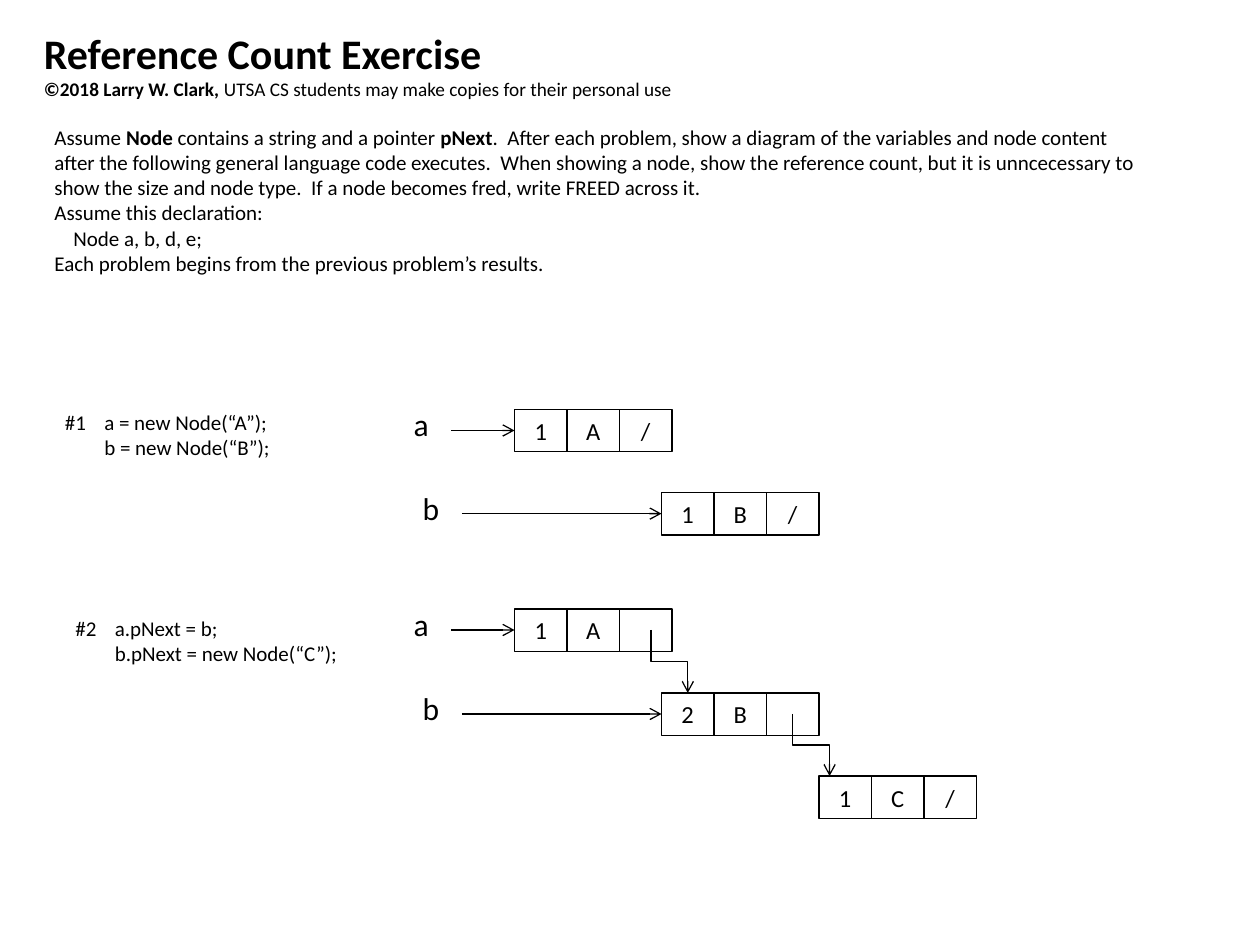
import pptx
import pptx.util
import pptx.dml.color
import pptx.enum.shapes
import pptx.enum.text
import pptx.oxml.ns
import lxml.etree
from dataclasses import dataclass

Pt = pptx.util.Pt
ALIGN = pptx.enum.text.PP_ALIGN
ANCHOR = pptx.enum.text.MSO_ANCHOR
CONNECTOR = pptx.enum.shapes.MSO_CONNECTOR


@dataclass(frozen=True)
class Theme:
    font: str = "Calibri"
    ink: pptx.dml.color.RGBColor = pptx.dml.color.RGBColor(0, 0, 0)
    title: float = 24
    credit: float = 11
    body: float = 12
    cell: float = 14
    label: float = 18
    line: float = 0.75


THEME = Theme()
CELL_W, CELL_H = 30, 24.2
CODE_INDENT = 22.5


def add_run(p, text, size, bold=False):
    r = p.add_run()
    r.text = text
    r.font.name = THEME.font
    r.font.size = Pt(size)
    r.font.bold = bold
    r.font.color.rgb = THEME.ink


def set_indent(p, left, first=0):
    p_pr = p._p.get_or_add_pPr()
    p_pr.set("marL", str(Pt(left)))
    p_pr.set("indent", str(Pt(first)))


def add_text(s, x, y, w, h, paragraphs, align=ALIGN.LEFT, anchor=ANCHOR.TOP):
    """Each paragraph is a list of (text, size, bold) runs."""
    tf = s.shapes.add_textbox(Pt(x), Pt(y), Pt(w), Pt(h)).text_frame
    tf.word_wrap = True
    tf.auto_size = pptx.enum.text.MSO_AUTO_SIZE.SHAPE_TO_FIT_TEXT
    tf.vertical_anchor = anchor
    for i, runs in enumerate(paragraphs):
        p = tf.add_paragraph() if i else tf.paragraphs[0]
        p.alignment = align
        for run in runs:
            add_run(p, *run)
    return tf


def add_code(s, x, y, lines):
    tf = add_text(s, x, y, 198, 36, [[(line, THEME.body)] for line in lines])
    for p in tf.paragraphs:
        set_indent(p, CODE_INDENT, -CODE_INDENT)


def add_node(s, x, y, values):
    """Row of cells: reference count, content, pointer (empty when it links on)."""
    for i, value in enumerate(values):
        sp = s.shapes.add_shape(pptx.enum.shapes.MSO_SHAPE.RECTANGLE,
                                Pt(x + i * CELL_W), Pt(y), Pt(CELL_W), Pt(CELL_H))
        sp.shadow.inherit = False
        sp.fill.background()
        sp.line.color.rgb = THEME.ink
        sp.line.width = Pt(THEME.line)
        if value:
            sp.text_frame.vertical_anchor = ANCHOR.MIDDLE
            p = sp.text_frame.paragraphs[0]
            p.alignment = ALIGN.CENTER
            add_run(p, value, THEME.cell)


def add_arrow(s, x1, y1, x2, y2, kind=CONNECTOR.STRAIGHT):
    c = s.shapes.add_connector(kind, Pt(x1), Pt(y1), Pt(x2), Pt(y2))
    c.line.color.rgb = THEME.ink
    c.line.width = Pt(THEME.line)
    qn = pptx.oxml.ns.qn
    lxml.etree.SubElement(c.line._get_or_add_ln(), qn("a:tailEnd"), type="arrow")
    lxml.etree.SubElement(c._element.spPr, qn("a:effectLst"))
    return c


def add_link(s, x1, y1, x2, y2):
    """Down-right-down elbow: a flipped elbow turned by 270 degrees."""
    cx, cy = (x1 + x2) / 2, (y1 + y2) / 2
    dx, dy = (y2 - y1) / 2, (x2 - x1) / 2
    c = add_arrow(s, cx + dx, cy - dy, cx - dx, cy + dy, CONNECTOR.ELBOW)
    c._element.spPr.find(pptx.oxml.ns.qn("a:xfrm")).set("rot", str(270 * 60000))


def add_variable(s, name, x, node_x, y, values):
    """Variable name with an arrow to its node."""
    add_text(s, x, y - 6, 36, 29, [[(name, THEME.label)]], ALIGN.RIGHT, ANCHOR.MIDDLE)
    add_node(s, node_x, y, values)
    add_arrow(s, x + 42, y + 12, node_x, y + 12)


def main():
    prs = pptx.Presentation()
    prs.slide_width, prs.slide_height = Pt(720), Pt(540)
    s = prs.slides.add_slide(prs.slide_layouts[6])

    # Title and instructions
    add_text(s, 18, 12, 678, 71, [
        [("Reference Count Exercise", THEME.title, True)],
        [("©2018 Larry W. Clark, ", THEME.credit, True),
         ("UTSA CS students may make copies for their personal use", THEME.credit)],
    ])
    body = THEME.body
    tf = add_text(s, 24, 67.5, 636, 94.5, [
        [("Assume ", body), ("Node", body, True),
         (" contains a string and a pointer ", body), ("pNext", body, True),
         (".  After each problem, show a diagram of the variables and node content "
          "after the following general language code executes.  When showing a node, "
          "show the reference count, but it is unncecessary to show the size and node "
          "type.  If a node becomes fred, write FREED across it.", body)],
        [("Assume this declaration: ", body)],
        [("Node a, b, d, e;", body)],
        [("Each problem begins from the previous problem’s results.", body)],
    ])
    set_indent(tf.paragraphs[2], 10.8)

    # Problem code
    add_code(s, 30, 230.5, ["#1\ta = new Node(“A”);", "\tb = new Node(“B”);"])
    add_code(s, 36, 348, ["#2\ta.pNext = b;", "\tb.pNext = new Node(“C”);"])

    # Variables and nodes
    a_x, b_x, c_x = 294, 378, 468
    for a_y, b_y, a_node, b_node in (
        (234, 281.5, "1A/", "1B/"),
        (348, 396, ("1", "A", ""), ("2", "B", "")),
    ):
        add_variable(s, "a", 216, a_x, a_y, a_node)
        add_variable(s, "b", 222, b_x, b_y, b_node)
    add_node(s, c_x, 443.5, "1C/")

    # Links between nodes
    add_link(s, 372, 360, 393, 396)
    add_link(s, 453, 408, 474, 443.5)

    prs.save("out.pptx")


main()
